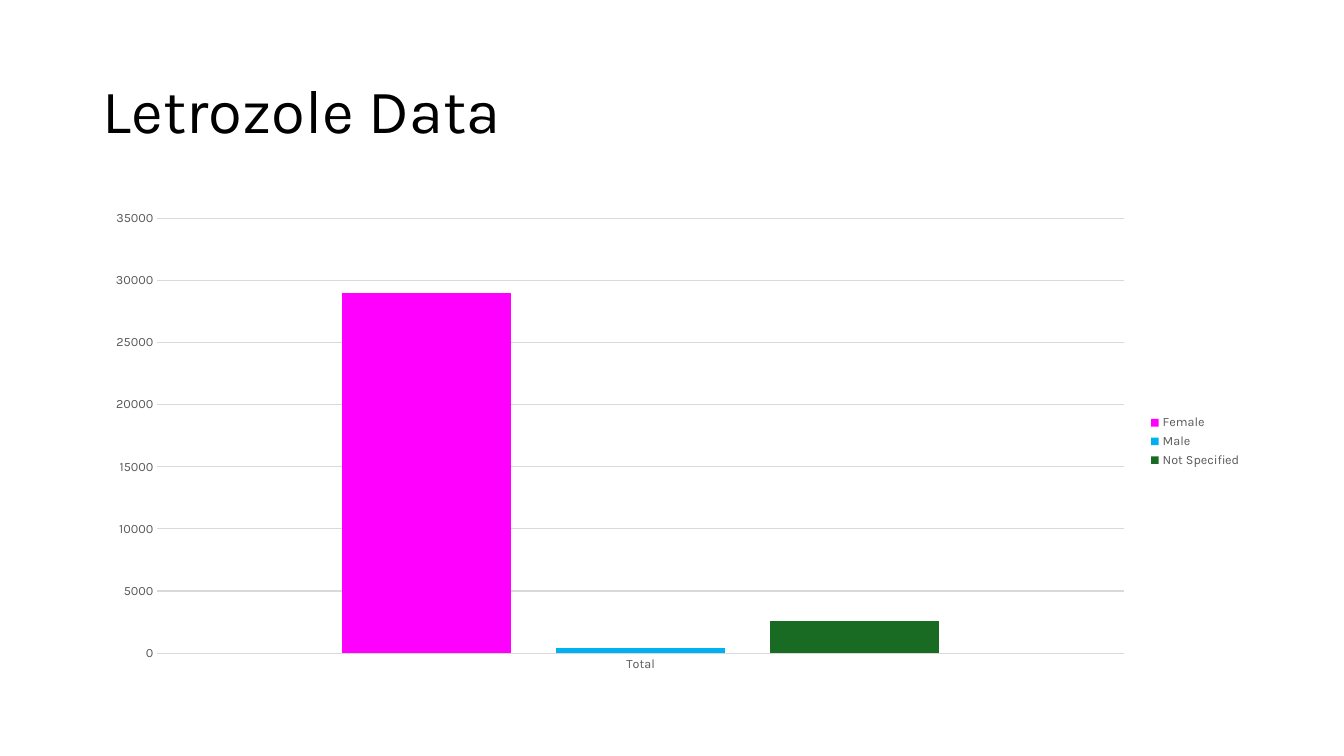
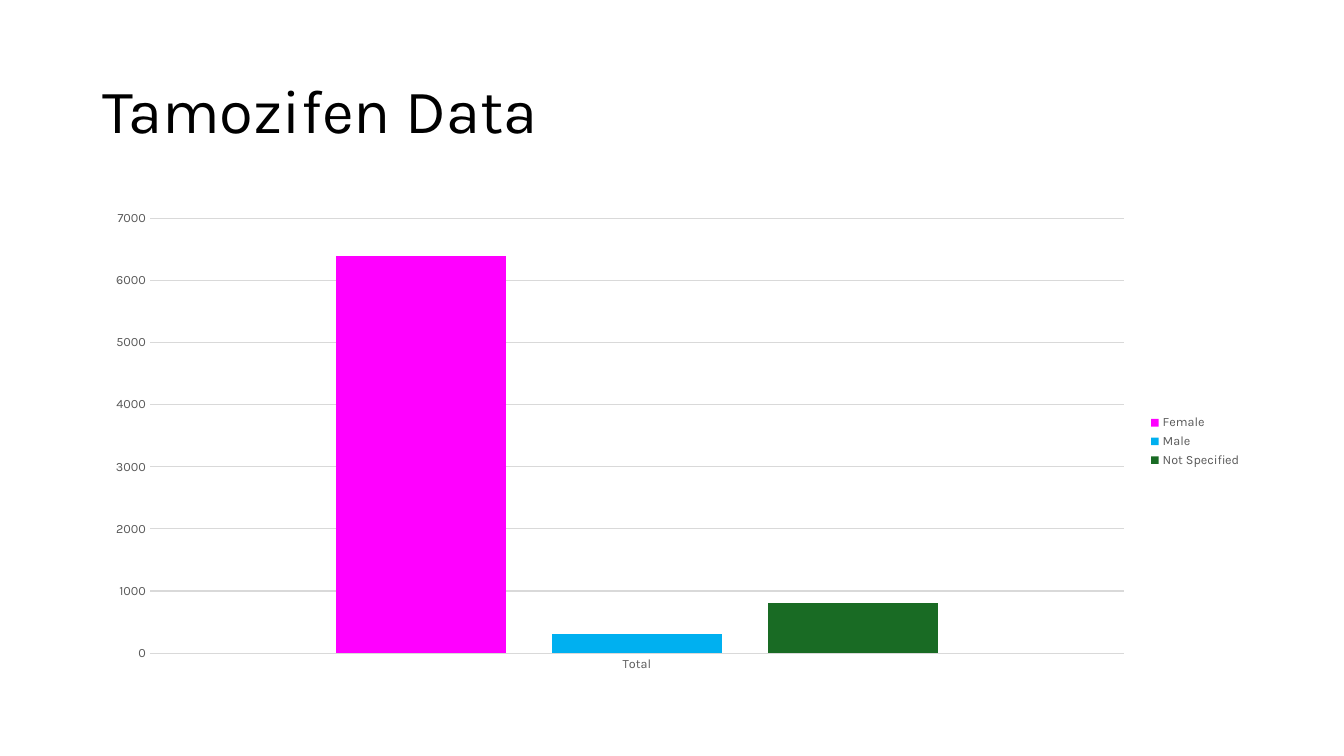
import dataclasses

import pptx
import pptx.chart.data
import pptx.dml.color
import pptx.enum.chart
import pptx.enum.text
import pptx.util

Inches = pptx.util.Inches
Pt = pptx.util.Pt
rgb = pptx.dml.color.RGBColor.from_string


@dataclasses.dataclass(frozen=True)
class Theme:
    face: str = "Karla"
    ink: str = "000000"
    label: str = "595959"
    rule: str = "D9D9D9"
    bars: tuple = ("FF00FF", "00B0F0", "196B24")
    head: int = 44
    base: int = 10
    small: int = 9
    line: float = 0.75


theme = Theme()
groups = ("Female", "Male", "Not Specified")
drugs = (
    ("Letrozole Data", (29000, 400, 2600), 35000, 5000),
    ("Tamozifen Data", (6400, 300, 800), 7000, 1000),
)
left, width = Inches(0.92), Inches(11.5)


def style(font, size, color):
    font.name = theme.face
    font.size = Pt(size)
    font.color.rgb = rgb(color)


def rule(line):
    line.color.rgb = rgb(theme.rule)
    line.width = Pt(theme.line)


deck = pptx.Presentation()
deck.slide_width, deck.slide_height = Inches(13.33), Inches(7.5)

for name, counts, top, step in drugs:
    slide = deck.slides.add_slide(deck.slide_layouts.get_by_name("Title Only"))

    title = slide.shapes.title
    title.left, title.top = left, Inches(0.4)
    title.width, title.height = width, Inches(1.45)
    frame = title.text_frame
    frame.text = name
    frame.auto_size = pptx.enum.text.MSO_AUTO_SIZE.NONE
    frame.vertical_anchor = pptx.enum.text.MSO_ANCHOR.MIDDLE
    para = frame.paragraphs[0]
    para.alignment = pptx.enum.text.PP_ALIGN.LEFT
    para.line_spacing = 0.9
    style(para.font, theme.head, theme.ink)

    data = pptx.chart.data.CategoryChartData()
    data.categories = ["Total"]
    for group, count in zip(groups, counts):
        data.add_series(group, [count])
    chart = slide.shapes.add_chart(
        pptx.enum.chart.XL_CHART_TYPE.COLUMN_CLUSTERED,
        left, Inches(2), width, Inches(4.76), data,
    ).chart
    chart.has_title = False
    style(chart.font, theme.base, theme.ink)

    plot = chart.plots[0]
    plot.gap_width = 219
    plot.overlap = -27
    plot.vary_by_categories = False
    for series, color in zip(plot.series, theme.bars):
        series.format.fill.solid()
        series.format.fill.fore_color.rgb = rgb(color)

    for axis in (chart.category_axis, chart.value_axis):
        axis.major_tick_mark = pptx.enum.chart.XL_TICK_MARK.NONE
        axis.minor_tick_mark = pptx.enum.chart.XL_TICK_MARK.NONE
        style(axis.tick_labels.font, theme.small, theme.label)
    rule(chart.category_axis.format.line)

    scale = chart.value_axis
    scale.minimum_scale, scale.maximum_scale = 0, top
    scale.major_unit = step
    scale.format.line.fill.background()
    rule(scale.major_gridlines.format.line)

    chart.has_legend = True
    chart.legend.position = pptx.enum.chart.XL_LEGEND_POSITION.RIGHT
    chart.legend.include_in_layout = False
    style(chart.legend.font, theme.small, theme.label)

deck.save("out.pptx")
